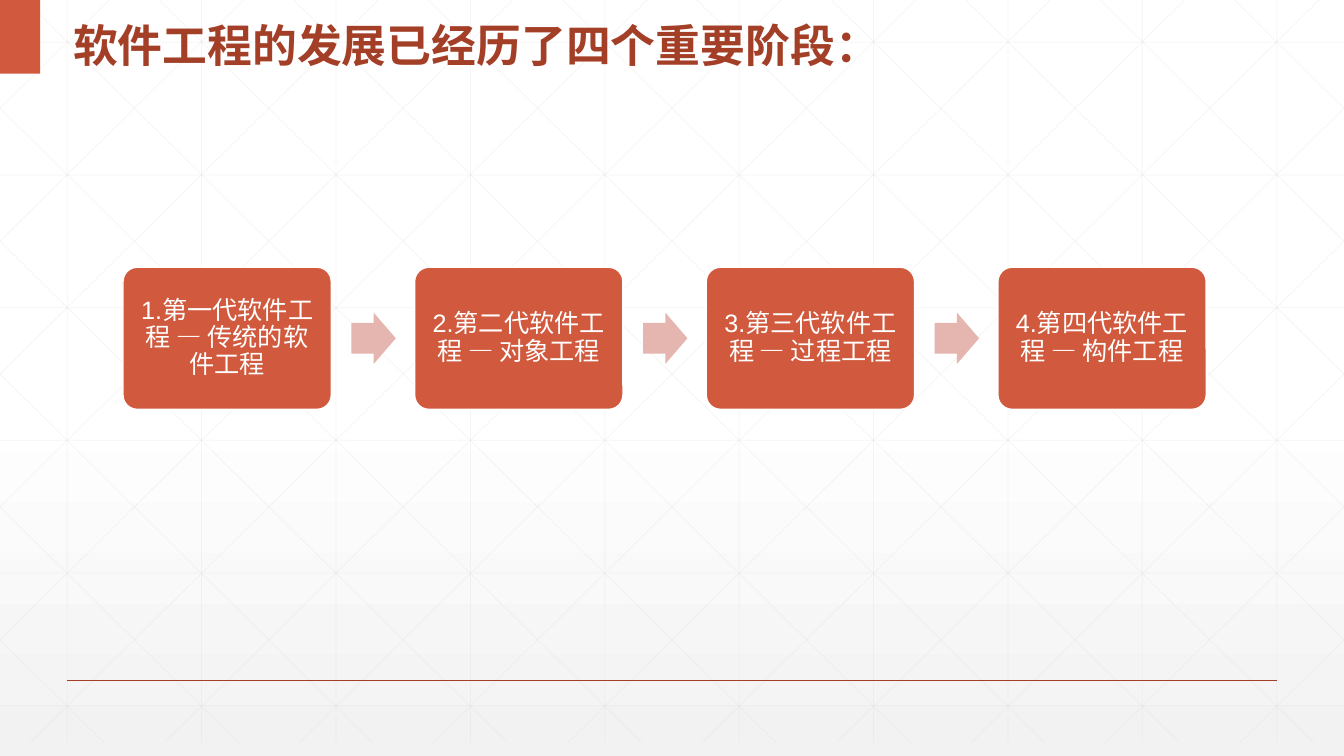
from copy import deepcopy
from dataclasses import dataclass

from lxml import etree
from pptx import Presentation
from pptx.dml.color import RGBColor
from pptx.enum.shapes import MSO_CONNECTOR, MSO_SHAPE
from pptx.enum.text import MSO_ANCHOR, PP_ALIGN
from pptx.oxml.ns import qn
from pptx.util import Inches, Pt

LINE = MSO_CONNECTOR.STRAIGHT
RECT = MSO_SHAPE.RECTANGLE
ROUND = MSO_SHAPE.ROUNDED_RECTANGLE
ARROW = MSO_SHAPE.RIGHT_ARROW
LEFT, CENTER = PP_ALIGN.LEFT, PP_ALIGN.CENTER
MIDDLE = MSO_ANCHOR.MIDDLE

WIDE, HIGH = Inches(13.333), Inches(7.5)
COLS = ROWS = 20
FLOOR = 19.65
RUN = 11.18
HAN = "Noto Sans CJK SC"
RED, DARK, PINK = "D15A3E", "A43F27", "E5B5AF"
WHITE, MIST, GRAY = "FFFFFF", "F2F2F2", "D9D9D9"
TITLE = "软件工程的发展已经历了四个重要阶段："


@dataclass
class Box:
    col: float
    row: float
    cols: float
    rows: float


FIRST = Box(1.83, 7.07, 3.1, 3.76)
PITCH = 4.34
STAGES = [
    "1.第一代软件工程 — 传统的软件工程",
    "2.第二代软件工程 — 对象工程",
    "3.第三代软件工程 — 过程工程",
    "4.第四代软件工程 — 构件工程",
]


def paint(code: str) -> RGBColor:
    return RGBColor.from_string(code)


def across(cols: float) -> int:
    return round(WIDE * cols / COLS)


def down(rows: float) -> int:
    return round(HIGH * rows / ROWS)


def place(box: Box) -> tuple[int, int, int, int]:
    return across(box.col), down(box.row), across(box.cols), down(box.rows)


def rule(slide, start: tuple, end: tuple, color: str, width: float, alpha: int = 100) -> None:
    line = slide.shapes.add_connector(
        LINE, across(start[0]), down(start[1]), across(end[0]), down(end[1]))
    line.line.color.rgb = paint(color)
    line.line.width = Pt(width)
    props = line.element.spPr
    if alpha < 100:
        tint = props.find(".//" + qn("a:srgbClr"))
        etree.SubElement(tint, qn("a:alpha")).set("val", str(alpha * 1000))
    etree.SubElement(props, qn("a:effectLst"))


def block(slide, kind, box: Box, fill: str, edge: str = "", adjust: tuple = ()):
    shape = slide.shapes.add_shape(kind, *place(box))
    shape.shadow.inherit = False
    shape.fill.solid()
    shape.fill.fore_color.rgb = paint(fill)
    if edge:
        shape.line.color.rgb = paint(edge)
        shape.line.width = Pt(1)
    else:
        shape.line.fill.background()
    for spot, value in enumerate(adjust):
        shape.adjustments[spot] = value
    return shape


def write(shape, text: str, *, size: int, color: str, font: str, bold: bool = False,
          align=LEFT, space: float = 1.0, inset: tuple = (0.1, 0.05)) -> None:
    frame = shape.text_frame
    frame.word_wrap = True
    frame.vertical_anchor = MIDDLE
    frame.margin_left = frame.margin_right = Inches(inset[0])
    frame.margin_top = frame.margin_bottom = Inches(inset[1])
    para = frame.paragraphs[0]
    para.alignment = align
    para.line_spacing = space
    run = para.add_run()
    run.text = text
    run.font.size = Pt(size)
    run.font.bold = bold
    run.font.name = font
    run.font.color.rgb = paint(color)
    etree.SubElement(run.font._element, qn("a:ea")).set("typeface", HAN)


def shade(slide) -> None:
    fill = slide.background.fill
    fill.gradient()
    fill.gradient_angle = 270
    stops = slide.element.find(".//" + qn("a:gsLst"))
    stops.insert(1, deepcopy(stops[0]))
    for stop, (color, spot) in zip(fill.gradient_stops, [(WHITE, 0), (WHITE, 0.53), (MIST, 1)]):
        stop.color.rgb = paint(color)
        stop.position = spot


def mesh(slide) -> None:
    def thin(start: tuple, end: tuple) -> None:
        rule(slide, start, end, GRAY, 0.5, 25)

    for col in range(1, COLS, 2):
        thin((col, 0), (col, FLOOR))
    for step in range(6):
        row = 1.12 + 3.51 * step
        thin((0, row), (COLS, row))
    slope = FLOOR / RUN
    for step in range(-5, 10):
        head = 0.37 + 2 * step
        left, right = max(head, 0), min(head + RUN, COLS)
        top, base = (left - head) * slope, (right - head) * slope
        thin((left, top), (right, base))
        thin((COLS - left, top), (COLS - right, base))


def stage(slide, index: int, text: str) -> None:
    box = Box(FIRST.col + PITCH * index, FIRST.row, FIRST.cols, FIRST.rows)
    card = block(slide, ROUND, box, RED, WHITE, (0.1,))
    write(card, text, size=18, color=WHITE, font="Arial", align=CENTER,
          space=0.9, inset=(0.07, 0.07))
    if index < len(STAGES) - 1:
        tall = 1.36
        arrow = Box(box.col + 3.4, box.row + (box.rows - tall) / 2, 0.66, tall)
        block(slide, ARROW, arrow, PINK, adjust=(0.6, 0.5))


def main() -> None:
    deck = Presentation()
    deck.slide_width, deck.slide_height = WIDE, HIGH
    slide = deck.slides.add_slide(deck.slide_layouts[6])
    shade(slide)
    mesh(slide)
    rule(slide, (1, 18), (19, 18), DARK, 1)
    block(slide, RECT, Box(0, 0, 0.6, 1.95), RED)
    title = slide.shapes.add_textbox(*place(Box(0.94, 0, 12.36, 1.95)))
    write(title, TITLE, size=32, color=DARK, font=HAN, bold=True, space=1.3)
    for index, text in enumerate(STAGES):
        stage(slide, index, text)
    deck.save("out.pptx")


if __name__ == "__main__":
    main()
